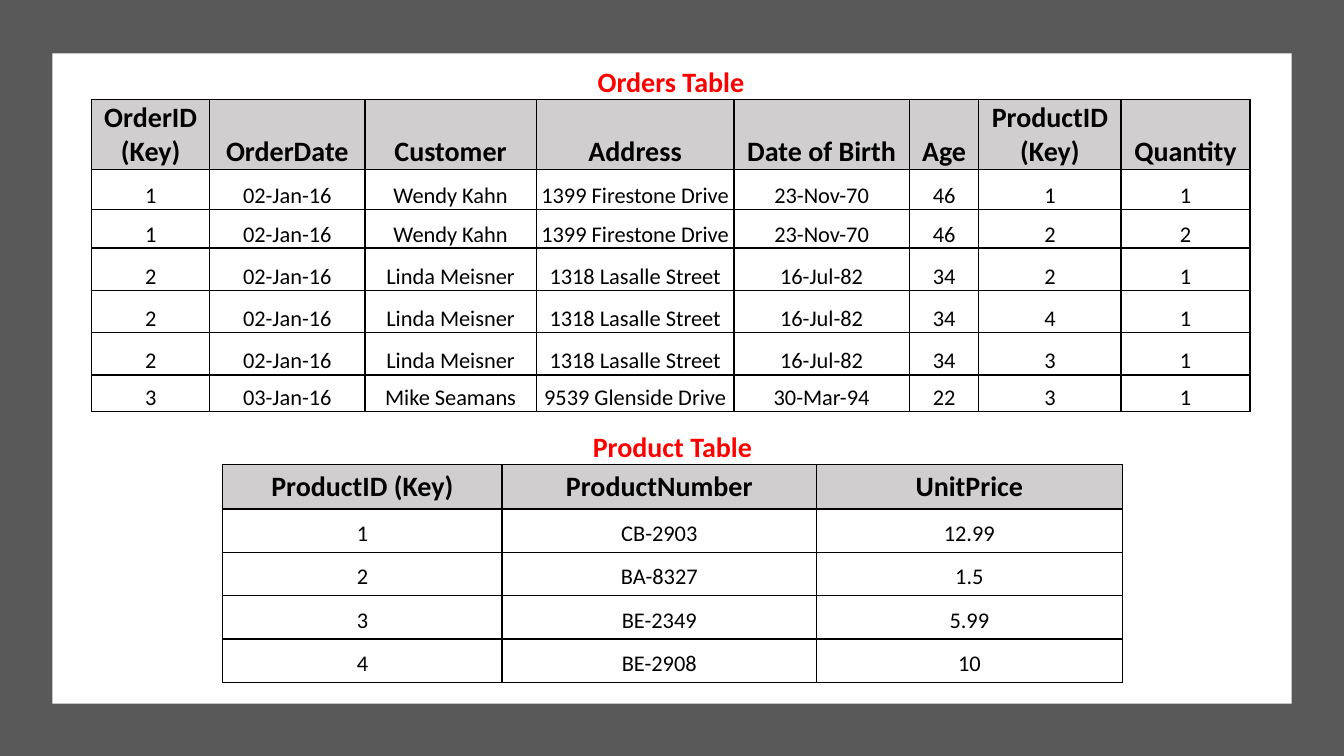
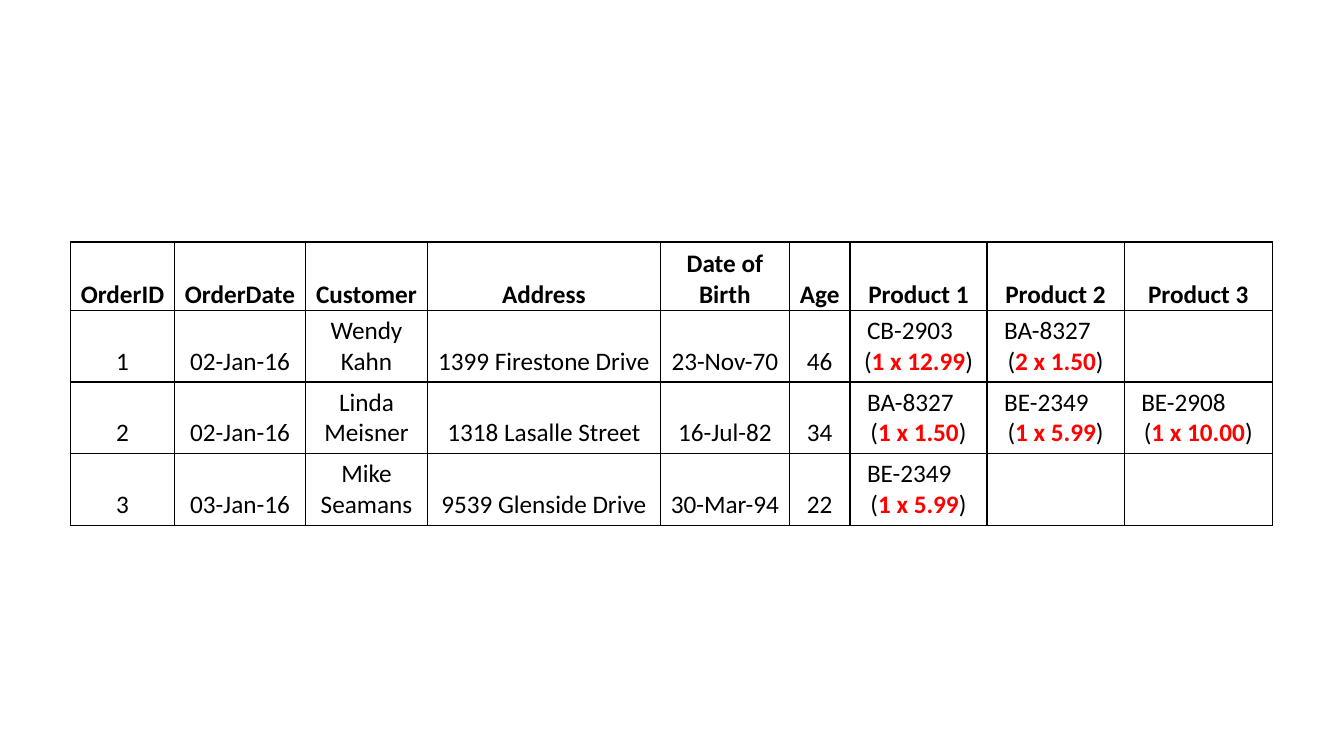
from lxml import etree
from pptx import Presentation
from pptx import util as u
from pptx.dml.color import RGBColor
from pptx.enum import shapes, text
from pptx.oxml.ns import qn

PX = 9144  # 100 px to the inch
FONT = "Calibri"
BLACK = RGBColor(0x00, 0x00, 0x00)
WHITE = RGBColor(0xFF, 0xFF, 0xFF)
RED = RGBColor(0xFF, 0x00, 0x00)
FRAME_GREY = RGBColor(0x59, 0x59, 0x59)
HEADER_GREY = RGBColor(0xD0, 0xCE, 0xCE)

TIGHT = (1, 1, 1, 0)  # cell insets: left, top, right, bottom
ROOMY = (5, 5, 5, 5)
ITEM_INDENT = 12

ORDERS_HEADER = ["OrderID (Key)", "OrderDate", "Customer", "Address",
                 "Date of Birth", "Age", "ProductID (Key)", "Quantity"]
WENDY = ["02-Jan-16", "Wendy Kahn", "1399 Firestone Drive", "23-Nov-70", "46"]
LINDA = ["02-Jan-16", "Linda Meisner", "1318 Lasalle Street", "16-Jul-82", "34"]
MIKE = ["03-Jan-16", "Mike Seamans", "9539 Glenside Drive", "30-Mar-94", "22"]
ORDERS = [
    ["1", *WENDY, "1", "1"],
    ["1", *WENDY, "2", "2"],
    ["2", *LINDA, "2", "1"],
    ["2", *LINDA, "4", "1"],
    ["2", *LINDA, "3", "1"],
    ["3", *MIKE, "3", "1"],
]

PRODUCT_HEADER = ["ProductID (Key)", "ProductNumber", "UnitPrice"]
PRODUCTS = [
    ["1", "CB-2903", "12.99"],
    ["2", "BA-8327", "1.5"],
    ["3", "BE-2349", "5.99"],
    ["4", "BE-2908", "10"],
]

# Ordered items are (product number, quantity x price)
FLAT_HEADER = ["OrderID", "OrderDate", "Customer", "Address", "Date of Birth",
               "Age", "Product 1", "Product 2", "Product 3"]
FLAT_ORDERS = [
    ["1", *WENDY, ("CB-2903", "1 x 12.99"), ("BA-8327", "2 x 1.50"), ""],
    ["2", *LINDA, ("BA-8327", "1 x 1.50"), ("BE-2349", "1 x 5.99"),
     ("BE-2908", "1 x 10.00")],
    ["3", *MIKE, ("BE-2349", "1 x 5.99"), "", ""],
]


def px(length):
    return u.Emu(length * PX)


def style_font(font, size, color=BLACK, bold=False):
    font.name = FONT
    font.size = u.Pt(size)
    font.bold = bold
    font.color.rgb = color


def set_borders(cell, visible="LRTB"):
    """Draw a 1 pt black line on the visible sides and none on the others."""
    props = cell._tc.get_or_add_tcPr()
    for side in "LRTB":
        line = etree.SubElement(props, qn(f"a:ln{side}"), w=str(u.Pt(1)))
        if side in visible:
            fill = etree.SubElement(line, qn("a:solidFill"))
            etree.SubElement(fill, qn("a:srgbClr"), val=str(BLACK))
        else:
            etree.SubElement(line, qn("a:noFill"))


def format_cell(cell, insets, fill=None, borders="LRTB"):
    cell.vertical_anchor = text.MSO_ANCHOR.BOTTOM
    (cell.margin_left, cell.margin_top,
     cell.margin_right, cell.margin_bottom) = map(px, insets)
    set_borders(cell, borders)
    if fill is None:
        cell.fill.background()
    else:
        cell.fill.solid()
        cell.fill.fore_color.rgb = fill


def write_line(cell, line, size, color=BLACK, bold=False):
    cell.text_frame.text = line
    paragraph = cell.text_frame.paragraphs[0]
    paragraph.alignment = text.PP_ALIGN.CENTER
    style_font(paragraph.font, size, color, bold)
    for run in paragraph.runs:
        style_font(run.font, size, color, bold)


def write_item(cell, item, size):
    """Product number above its quantity and price, the latter in red."""
    number, amount = item
    write_line(cell, number, size)
    first = cell.text_frame.paragraphs[0]
    first.alignment = text.PP_ALIGN.LEFT
    first._p.get_or_add_pPr().set("marL", str(px(ITEM_INDENT)))
    second = cell.text_frame.add_paragraph()
    second.alignment = text.PP_ALIGN.CENTER
    for part, color in (("(", BLACK), (amount, RED), (")", BLACK)):
        run = second.add_run()
        run.text = part
        style_font(run.font, size, color, bold=color == RED)


def add_grid(slide, left, top, widths, heights, header, records, *, sizes,
             insets, title=None, header_fill=None):
    """Table with an optional title row; sizes and insets: header, records."""
    frame = slide.shapes.add_table(len(heights), len(widths), px(left), px(top),
                                   px(sum(widths)), px(sum(heights)))
    table = frame.table
    table.first_row = table.horz_banding = False
    for column, width in zip(table.columns, widths):
        column.width = px(width)
    for row, height in zip(table.rows, heights):
        row.height = px(height)

    # Title across all columns
    header_row = 0
    if title:
        header_row = 1
        for column in range(len(widths)):
            format_cell(table.cell(0, column), TIGHT, borders="B")
        table.cell(0, 0).merge(table.cell(0, len(widths) - 1))
        write_line(table.cell(0, 0), title, sizes[0], RED, bold=True)

    # Header row
    for column, label in enumerate(header):
        cell = table.cell(header_row, column)
        format_cell(cell, insets[0], header_fill)
        write_line(cell, label, sizes[0], bold=True)

    # Records
    for row, record in enumerate(records, header_row + 1):
        for column, value in enumerate(record):
            cell = table.cell(row, column)
            format_cell(cell, insets[1])
            if isinstance(value, tuple):
                write_item(cell, value, sizes[1])
            else:
                write_line(cell, value, sizes[1])


def add_panel(slide, left, top, width, height, color):
    panel = slide.shapes.add_shape(shapes.MSO_SHAPE.RECTANGLE, px(left), px(top),
                                   px(width), px(height))
    panel.shadow.inherit = False
    panel.fill.solid()
    panel.fill.fore_color.rgb = color
    panel.line.fill.background()


def build_normalized_slide(slide, width, height):
    # White panel in a grey frame
    add_panel(slide, 0, 0, width, height, FRAME_GREY)
    add_panel(slide, 52, 53, width - 104, height - 105, WHITE)

    add_grid(slide, 91, 64, [117, 154, 170, 196, 174, 69, 141, 128],
             [35, 69, 40, 38, 42, 42, 42, 36], ORDERS_HEADER, ORDERS,
             sizes=(20, 16), insets=(TIGHT, TIGHT),
             title="Orders Table", header_fill=HEADER_GREY)
    add_grid(slide, 221, 418, [277, 312, 303], [43, 44] + [43] * 4,
             PRODUCT_HEADER, PRODUCTS, sizes=(20, 16), insets=(ROOMY, ROOMY),
             title="Product Table", header_fill=HEADER_GREY)


def build_flat_slide(slide):
    add_grid(slide, 70, 240, [103, 130, 121, 231, 128, 60, 136, 136, 147],
             [68] + [71] * 3, FLAT_HEADER, FLAT_ORDERS,
             sizes=(18, 18), insets=(TIGHT, ROOMY))


def main():
    width, height = 1333, 750
    deck = Presentation()
    deck.slide_width, deck.slide_height = px(width), px(height)
    blank = deck.slide_layouts[6]
    build_normalized_slide(deck.slides.add_slide(blank), width, height)
    build_flat_slide(deck.slides.add_slide(blank))
    deck.save("out.pptx")


if __name__ == "__main__":
    main()
